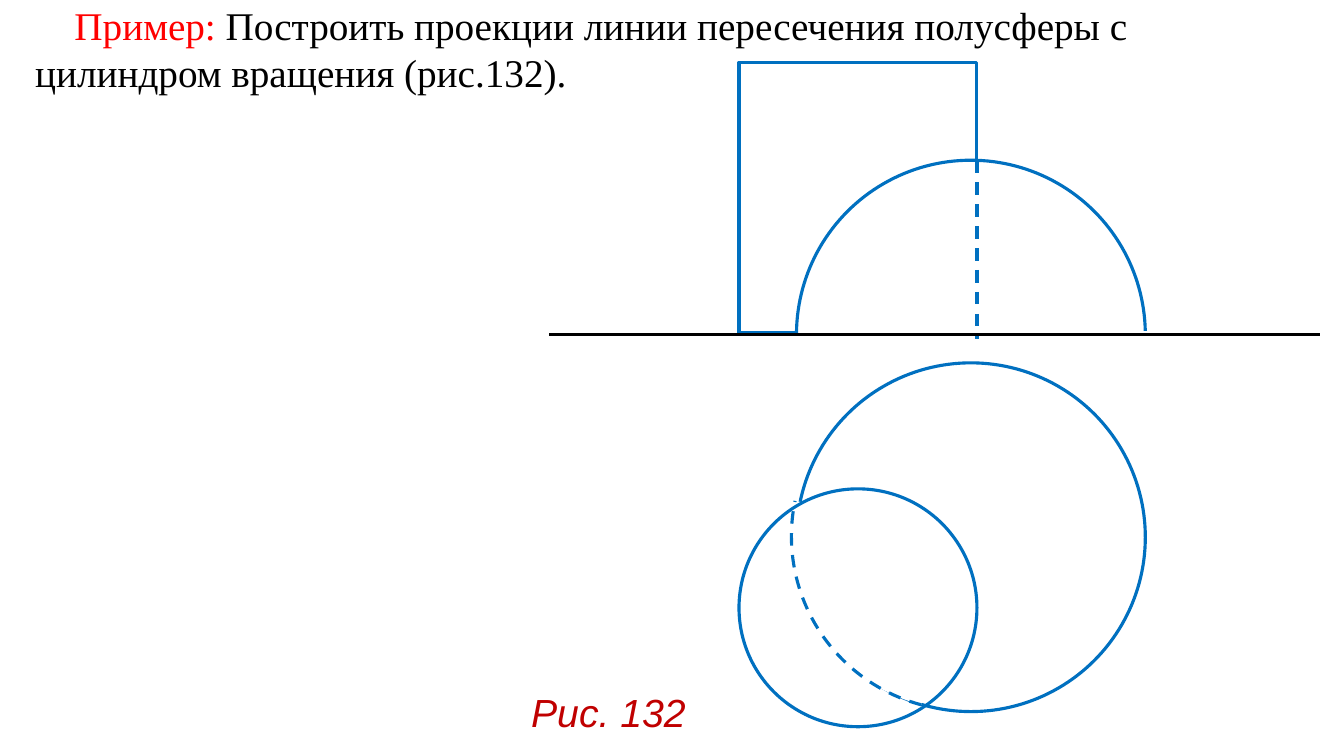
from pptx import Presentation
from pptx.dml.color import RGBColor
from pptx.enum.dml import MSO_LINE
from pptx.enum.shapes import MSO_CONNECTOR, MSO_SHAPE
from pptx.oxml.ns import qn
from pptx.util import Pt
from lxml.etree import SubElement

PX = 9144
DEGREE = 0.6
COLORS = {
    "outline": "0070C0",
    "axis": "000000",
    "paper": "FFFFFF",
    "label": "FF0000",
    "task": "000000",
    "caption": "C00000",
}


def style_line(line, color, dashed):
    line.color.rgb = RGBColor.from_string(COLORS[color])
    line.width = Pt(2.25)
    if dashed:
        line.dash_style = MSO_LINE.DASH


def add_words(box, indent, font, italic, runs):
    frame = slide.shapes.add_textbox(*[v * PX for v in box]).text_frame
    frame.word_wrap = True
    paragraph = frame.paragraphs[0]
    paragraph._p.get_or_add_pPr().set("indent", str(indent * PX))
    for words, color in runs:
        run = paragraph.add_run()
        run.text = words
        run.font.name = font
        run.font.size = Pt(28)
        run.font.italic = italic
        run.font.color.rgb = RGBColor.from_string(COLORS[color])


deck = Presentation()
deck.slide_width = 1333 * PX
deck.slide_height = 750 * PX
slide = deck.slides.add_slide(deck.slide_layouts[6])

add_words((25, -4, 1276, 104), 39, "Times New Roman", False, [
    ("Пример: ", "label"),
    ("Построить проекции линии пересечения полусферы с цилиндром вращения (рис.132).", "task"),
])
add_words((517, 678, 197, 57), 0, "Arial", True, [("Рис. 132", "caption")])

sphere = 346
cylinder = 236
cylinder_left = 733
cylinder_right = cylinder_left + cylinder

cylinder_front = (MSO_SHAPE.RECTANGLE, (cylinder_left, 62, cylinder, 268), None, True, False)
hemisphere_front = (MSO_SHAPE.ARC, (790, 159, sphere, sphere), (180.6, 358.8), True, False)
hemisphere_top = (MSO_SHAPE.OVAL, (790, 360, sphere, sphere), None, True, False)
hidden_top = (MSO_SHAPE.ARC, (785, 359, sphere, sphere), (104.8, 191.7), True, True)
cylinder_top = (MSO_SHAPE.OVAL, (cylinder_left, 485, cylinder, cylinder), None, False, False)
ground = ((1309, 332, 545, 332), "axis", False)
hidden_front = ((cylinder_right, 159, cylinder_right, 336), "outline", True)

for projections, edge in (
    ((cylinder_front, hemisphere_front, hemisphere_top), ground),
    ((hidden_top, cylinder_top), hidden_front),
):
    for kind, box, angles, filled, dashed in projections:
        outline = slide.shapes.add_shape(kind, *[v * PX for v in box])
        outline.shadow.inherit = False
        if angles:
            for i, angle in enumerate(angles):
                outline.adjustments[i] = angle * DEGREE
        if filled:
            outline.fill.solid()
            outline.fill.fore_color.rgb = RGBColor.from_string(COLORS["paper"])
        else:
            outline.fill.background()
        style_line(outline.line, "outline", dashed)

    ends, color, dashed = edge
    straight = slide.shapes.add_connector(MSO_CONNECTOR.STRAIGHT, *[v * PX for v in ends])
    style_line(straight.line, color, dashed)
    SubElement(straight._element.spPr, qn("a:effectLst"))

deck.save("out.pptx")
